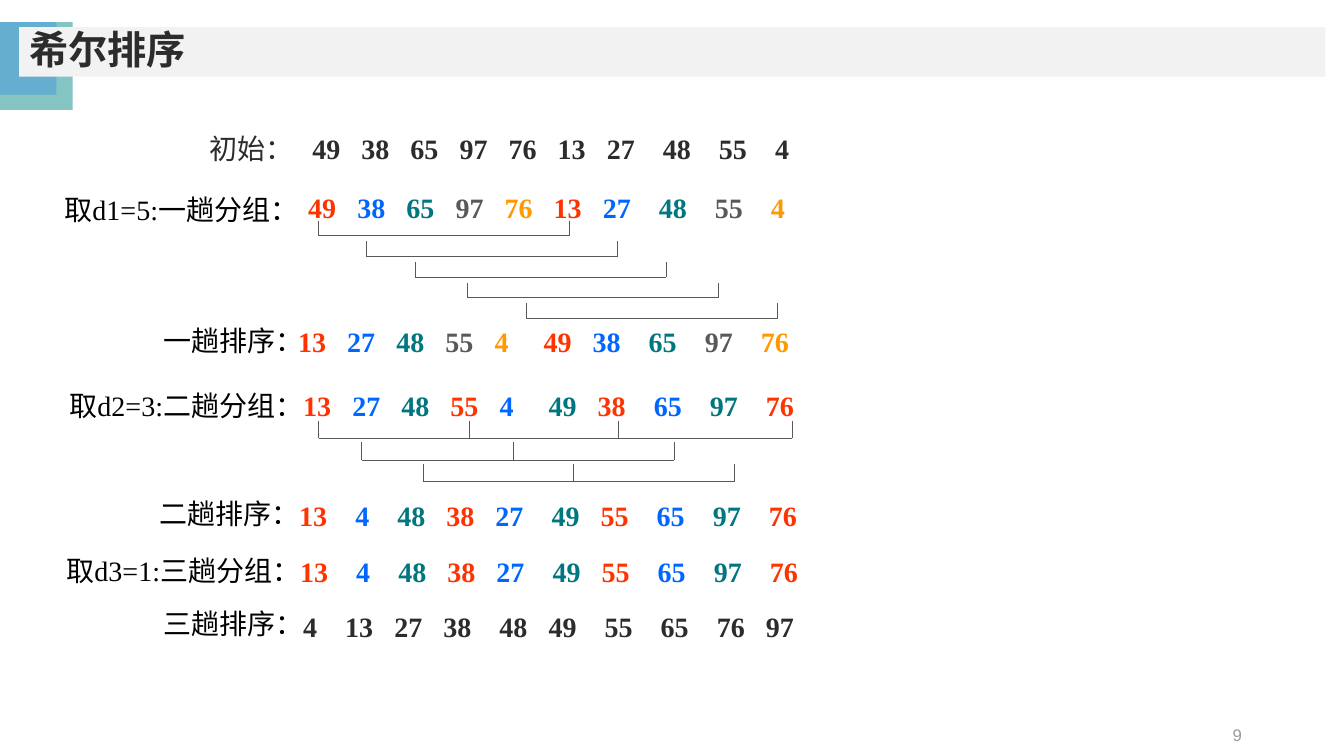
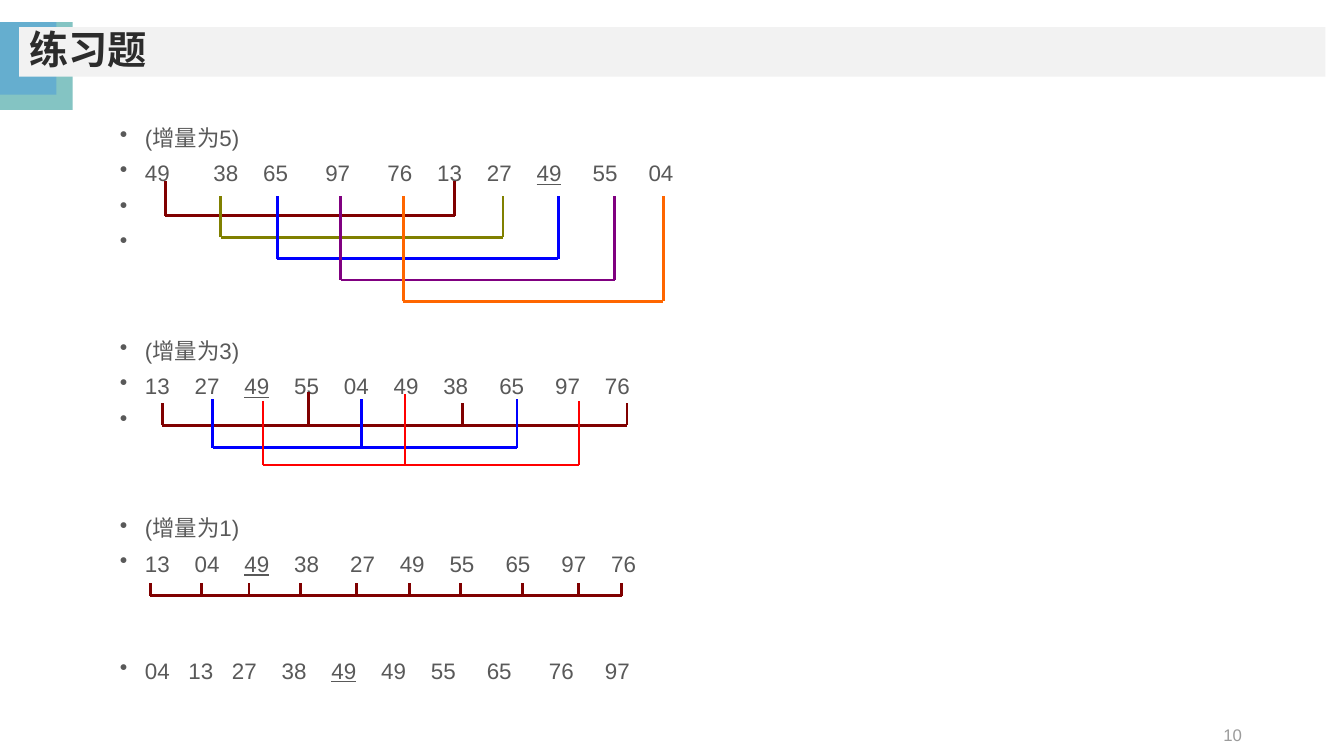
"""Build two slides on Shell sort: a worked example and an exercise."""
from dataclasses import dataclass
from itertools import cycle

from lxml.etree import SubElement
from pptx import Presentation
from pptx.dml.color import RGBColor
from pptx.enum.shapes import MSO_CONNECTOR as Connector, MSO_SHAPE as Shape
from pptx.enum.text import MSO_ANCHOR as Anchor, PP_ALIGN as Align
from pptx.oxml.ns import qn
from pptx.util import Emu, Pt

COLUMNS, ROWS = 160, 90
CELL = 76200


@dataclass(frozen=True)
class Theme:
    teal: str = "84C4C3"
    sky: str = "65AECF"
    band: str = "F2F2F2"
    ink: str = "2C2C2C"
    black: str = "000000"
    body: str = "595959"
    muted: str = "9B9B9B"
    groups: tuple = ("FF3300", "0066FF", "00767E", "595959", "FF9900")
    maroon: str = "800000"
    olive: str = "808000"
    blue: str = "0000FF"
    purple: str = "800080"
    orange: str = "FF6600"
    red: str = "FF0000"
    sans: str = "Arial"
    serif: str = "Times New Roman"
    title_size: int = 28
    row_size: int = 20
    list_size: int = 16
    footer_size: int = 12
    serif_space: float = 0.25
    sans_space: float = 0.278
    thin: float = 0.75
    medium: float = 1.5
    thick: float = 2


THEME = Theme()


def grid(*cells):
    """Turn grid columns or rows into slide lengths."""
    return [Emu(round(cell * CELL)) for cell in cells]


def style(paragraph, size, name, color, bold=False):
    """Set the font that all runs of a paragraph share."""
    font = paragraph.font
    font.size, font.name, font.bold = Pt(size), name, bold
    font.color.rgb = RGBColor.from_string(color)


def add_rectangle(slide, area, color):
    """Add a plain filled rectangle."""
    shape = slide.shapes.add_shape(Shape.RECTANGLE, *grid(*area))
    shape.shadow.inherit = False
    shape.fill.solid()
    shape.fill.fore_color.rgb = RGBColor.from_string(color)
    shape.line.fill.background()
    return shape


def add_box(slide, area):
    """Add a wrapping text box and return its text frame."""
    frame = slide.shapes.add_textbox(*grid(*area)).text_frame
    frame.word_wrap = True
    return frame


def add_frame(presentation, title, number):
    """Add a slide with its corner accent, title band and page number."""
    slide = presentation.slides.add_slide(presentation.slide_layouts[6])
    add_rectangle(slide, (0, 2.64, 8.64, 10.44), THEME.teal)
    add_rectangle(slide, (0, 2.64, 6.72, 8.64), THEME.sky)
    band = add_rectangle(slide, (2.28, 3.24, 155.52, 5.88), THEME.band)
    band.text_frame.vertical_anchor = Anchor.MIDDLE
    heading = band.text_frame.paragraphs[0]
    heading.text, heading.alignment = title, Align.LEFT
    heading.line_spacing = 0.9
    style(heading, THEME.title_size, THEME.sans, THEME.ink, bold=True)
    footer = add_box(slide, (113.04, 85.08, 36, 4.8))
    footer.vertical_anchor = Anchor.MIDDLE
    page = footer.paragraphs[0]
    page.text, page.alignment = str(number), Align.RIGHT
    style(page, THEME.footer_size, THEME.sans, THEME.muted)
    return slide


def write_numbers(paragraph, numbers, gaps, space, colors=()):
    """Write numbers set apart by widened spaces; a trailing _ underlines."""
    palette = cycle(colors or (None,))
    for index, (number, color) in enumerate(zip(numbers.split(), palette)):
        if index:
            gap = paragraph.add_run()
            gap.text = " "
            extra = (int(gaps[index - 1]) - 1) * space * 100
            gap.font._element.set("spc", str(round(extra)))
        run = paragraph.add_run()
        run.text = number.rstrip("_")
        if number.endswith("_"):
            run.font.underline = True
        if color:
            run.font.color.rgb = RGBColor.from_string(color)


def add_step(slide, label, label_area, label_color, start, numbers, gaps, group_count):
    """Add one labelled row of numbers coloured by group."""
    caption = add_box(slide, (*label_area, 5.2)).paragraphs[0]
    caption.text = label
    style(caption, THEME.row_size, THEME.serif, label_color)
    row = add_box(slide, (*start, 66, 5.28)).paragraphs[0]
    space = THEME.row_size * THEME.serif_space
    write_numbers(row, numbers, gaps, space, THEME.groups[:group_count])
    style(row, THEME.row_size, THEME.serif, THEME.ink, bold=True)


def add_line(slide, start, end, color, width):
    """Add a straight line without a shadow."""
    line = slide.shapes.add_connector(Connector.STRAIGHT, *grid(*start, *end))
    line.line.color.rgb = RGBColor.from_string(color)
    line.line.width = Pt(width)
    SubElement(line._element.spPr, qn("a:effectLst"))


def add_bracket(slide, stems, base, top, color, width, raised=None):
    """Join stems at a base line; raised maps a stem to its own top."""
    add_line(slide, (stems[0], base), (stems[-1], base), color, width)
    for stem in stems:
        stem_top = (raised or {}).get(stem, top)
        add_line(slide, (stem, base), (stem, stem_top), color, width)


def add_bullet(frame, index, text, gaps, space_before):
    """Add one bulleted line, spacing out its numbers when gaps are given."""
    paragraph = frame.add_paragraph() if index else frame.paragraphs[0]
    properties = paragraph._p.get_or_add_pPr()
    properties.set("marL", "228600")
    properties.set("indent", "-228600")
    SubElement(properties, qn("a:buChar")).set("char", "•")
    paragraph.line_spacing = 0.8
    paragraph.space_before = Pt(space_before)
    if gaps:
        space = THEME.list_size * THEME.sans_space
        write_numbers(paragraph, text, gaps, space)
    else:
        paragraph.text = text
    style(paragraph, THEME.list_size, THEME.sans, THEME.body)


def build_example(presentation):
    """Show each grouping and sorting pass of the worked example."""
    slide = add_frame(presentation, "希尔排序", 9)
    black = THEME.black
    steps = [
        ("初始：", (23.76, 15.12, 16), THEME.ink, (36, 15.12),
         "49 38 65 97 76 13 27 48 55 4", "333333444", 0),
        ("取d1=5:一趟分组：", (6.48, 22.32, 34), black, (35.52, 22.08),
         "49 38 65 97 76 13 27 48 55 4", "333333444", 5),
        ("一趟排序：", (18.24, 37.92, 22), black, (34.32, 38.04),
         "13 27 48 55 4 49 38 65 97 76", "333353444", 5),
        ("取d2=3:二趟分组：", (7.08, 45.6, 28.44), black, (34.92, 45.72),
         "13 27 48 55 4 49 38 65 97 76", "333353444", 3),
        ("二趟排序：", (17.76, 58.56, 22), black, (34.44, 58.8),
         "13 4 48 38 27 49 55 65 97 76", "443343444", 3),
        ("取d3=1:三趟分组：", (6.72, 65.28, 34), black, (34.56, 65.4),
         "13 4 48 38 27 49 55 65 97 76", "443343444", 3),
        ("三趟排序：", (18.24, 71.64, 22), black, (34.92, 72),
         "4 13 27 38 48 49 55 65 76 97", "433434443", 0),
    ]
    for step in steps:
        add_step(slide, *step)

    pairs = [(left, left + 29.88) for left in (37.92, 43.68, 49.44, 55.68, 62.64)]
    chains = [(37.92, 55.92, 73.68, 94.32), (43.08, 61.08, 80.28), (50.4, 68.28, 87.48)]
    for groups, first_base, pitch, height in (
        (pairs, 28.08, 2.46, 1.8),
        (chains, 52.2, 2.58, 2.1),
    ):
        for index, stems in enumerate(groups):
            base = first_base + index * pitch
            add_bracket(slide, stems, base, base - height, THEME.body, THEME.thin)


def build_exercise(presentation):
    """Show the exercise with its groups for increments 5, 3 and 1."""
    slide = add_frame(presentation, "练习题", 10)
    frame = add_box(slide, (13.08, 14.76, 91.68, 57.6))
    close, wide = 10, 60.8
    bullets = [
        ("(增量为5)", "", 0),
        ("49 38 65 97 76 13 27 49_ 55 04", "746644455", close),
        ("\N{NO-BREAK SPACE}", "", close),
        ("\N{NO-BREAK SPACE}", "", close),
        ("(增量为3)", "", wide),
        ("13 27 49_ 55 04 49 38 65 97 76", "444444554", close),
        ("\N{NO-BREAK SPACE}", "", close),
        ("(增量为1)", "", wide),
        ("13 04 49_ 38 27 49 55 65 97 76", "444544554", close),
        ("04 13 27 38 49_ 49 55 65 76 97", "334444565", wide),
    ]
    for index, bullet in enumerate(bullets):
        add_bullet(frame, index, *bullet)

    pairs = [
        ((19.68, 54.12), 21.6, THEME.maroon),
        ((26.28, 59.88), 23.28, THEME.olive),
        ((33, 66.48), 23.28, THEME.blue),
        ((40.56, 73.2), 23.28, THEME.purple),
        ((48, 78.96), 23.28, THEME.orange),
    ]
    for index, (stems, top, color) in enumerate(pairs):
        add_bracket(slide, stems, 25.68 + index * 2.55, top, color, THEME.thick)

    chains = [
        ((19.32, 36.72, 55.08, 74.64), 50.64, 48, THEME.maroon, THEME.thick, {36.72: 46.68}),
        ((25.32, 43.08, 61.56), 53.28, 47.52, THEME.blue, THEME.thick),
        ((17.88, 24, 29.64, 35.76, 42.48, 48.72, 54.84, 62.16, 68.88, 74.04),
         70.92, 69.36, THEME.maroon, THEME.thick),
        ((31.32, 48.24, 68.88), 55.32, 47.76, THEME.red, THEME.medium, {48.24: 46.92}),
    ]
    for chain in chains:
        add_bracket(slide, *chain)


def main():
    """Build and save the presentation."""
    presentation = Presentation()
    presentation.slide_width, presentation.slide_height = grid(COLUMNS, ROWS)
    build_example(presentation)
    build_exercise(presentation)
    presentation.save("out.pptx")


if __name__ == "__main__":
    main()
